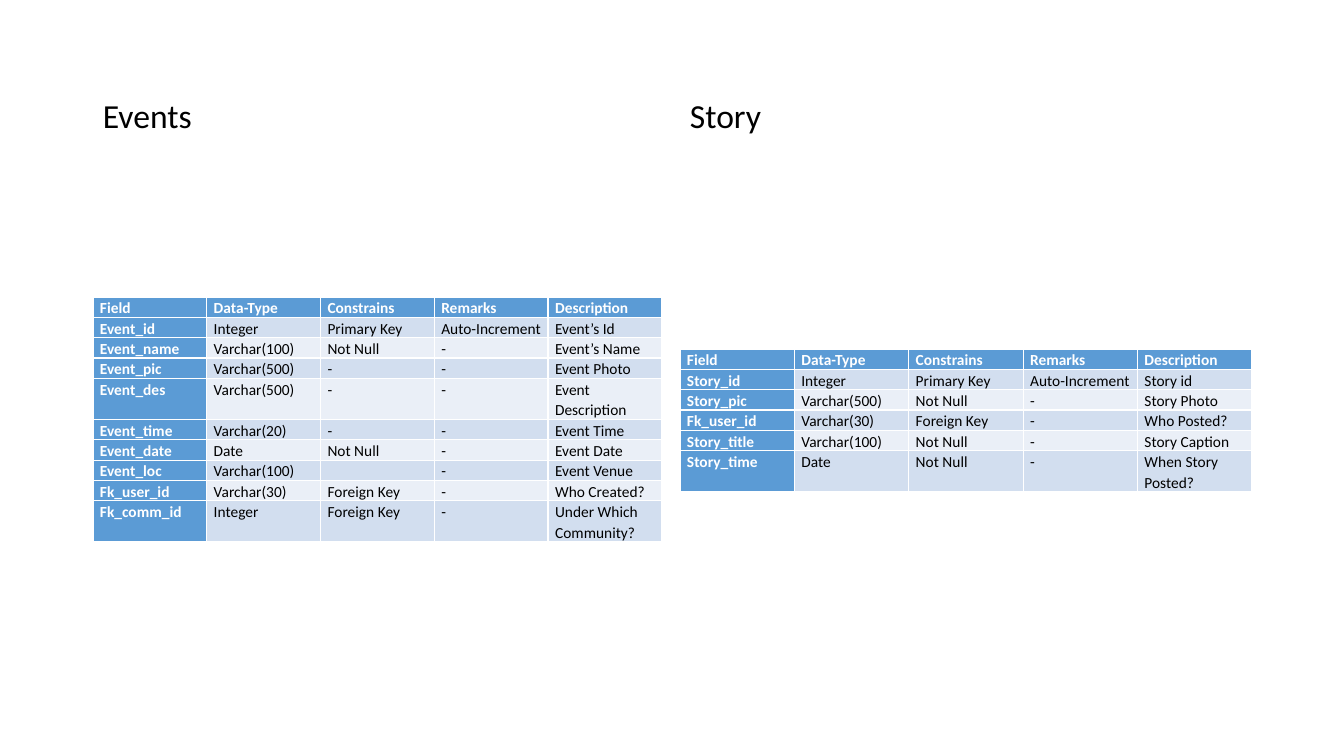
from pptx import Presentation
from pptx.dml.color import RGBColor
from pptx.enum.text import MSO_ANCHOR
from pptx.util import Pt

SLIDE_WIDTH, SLIDE_HEIGHT = 1344, 756
EMU_PER_PX = 12192000 / SLIDE_WIDTH
FONT = "Calibri"
BLACK = RGBColor(0x00, 0x00, 0x00)
WHITE = RGBColor(0xFF, 0xFF, 0xFF)
BLUE = RGBColor(0x5B, 0x9B, 0xD5)
BANDS = (RGBColor(0xEA, 0xEF, 0xF7), RGBColor(0xD2, 0xDE, 0xEF))

HEADING_TOP, HEADING_HEIGHT = 43, 98
LINE_HEIGHT, TWO_LINES_HEIGHT = 20, 41
LONGEST_ONE_LINE = 14
CELL_MARGIN = 7

HEADER = ("Field", "Data-Type", "Constrains", "Remarks", "Description")
EVENT_FIELDS = (
    ("Event_id", "Integer", "Primary Key", "Auto-Increment", "Event’s Id"),
    ("Event_name", "Varchar(100)", "Not Null", "-", "Event’s Name"),
    ("Event_pic", "Varchar(500)", "-", "-", "Event Photo"),
    ("Event_des", "Varchar(500)", "-", "-", "Event Description"),
    ("Event_time", "Varchar(20)", "-", "-", "Event Time"),
    ("Event_date", "Date", "Not Null", "-", "Event Date"),
    ("Event_loc", "Varchar(100)", "", "-", "Event Venue"),
    ("Fk_user_id", "Varchar(30)", "Foreign Key", "-", "Who Created?"),
    ("Fk_comm_id", "Integer", "Foreign Key", "-", "Under Which Community?"),
)
STORY_FIELDS = (
    ("Story_id", "Integer", "Primary Key", "Auto-Increment", "Story id"),
    ("Story_pic", "Varchar(500)", "Not Null", "-", "Story Photo"),
    ("Fk_user_id", "Varchar(30)", "Foreign Key", "-", "Who Posted?"),
    ("Story_title", "Varchar(100)", "Not Null", "-", "Story Caption"),
    ("Story_time", "Date", "Not Null", "-", "When Story Posted?"),
)


def px(length):
    return round(length * EMU_PER_PX)


def format_runs(paragraph, size, color, bold=False):
    for run in paragraph.runs:
        run.font.name = FONT
        run.font.size = Pt(size)
        run.font.bold = bold
        run.font.color.rgb = color


def add_heading(slide, text, left, width):
    box = slide.shapes.add_textbox(px(left), px(HEADING_TOP), px(width), px(HEADING_HEIGHT))
    box.text_frame.word_wrap = True
    box.text_frame.vertical_anchor = MSO_ANCHOR.BOTTOM
    paragraph = box.text_frame.paragraphs[0]
    paragraph.text = text
    paragraph.line_spacing = 0.9
    paragraph.space_before = Pt(10)
    format_runs(paragraph, 24, BLACK)


def fill_cell(cell, text, background, color, bold):
    cell.fill.solid()
    cell.fill.fore_color.rgb = background
    cell.margin_left = cell.margin_right = px(CELL_MARGIN)
    cell.margin_top = cell.margin_bottom = 0
    paragraph = cell.text_frame.paragraphs[0]
    paragraph.line_spacing = 1.1
    if text:
        paragraph.text = text
        format_runs(paragraph, 11, color, bold)
    else:
        # An empty cell would otherwise stretch its row to the default text size.
        paragraph._p.get_or_add_endParaRPr().set("sz", "1100")


def add_field_table(slide, fields, left, top, width):
    rows = (HEADER, *fields)
    heights = [TWO_LINES_HEIGHT if len(row[-1]) > LONGEST_ONE_LINE else LINE_HEIGHT
               for row in rows]
    frame = slide.shapes.add_table(len(rows), len(HEADER), px(left), px(top),
                                   px(width), px(sum(heights)))
    table = frame.table
    table.first_col = True
    for column in table.columns:
        column.width = px(width / len(HEADER))
    for row_index, (row, height) in enumerate(zip(rows, heights)):
        table.rows[row_index].height = px(height)
        for column_index, text in enumerate(row):
            is_label = row_index == 0 or column_index == 0
            fill_cell(table.cell(row_index, column_index), text,
                      BLUE if is_label else BANDS[row_index % 2],
                      WHITE if is_label else BLACK, is_label)


def main():
    presentation = Presentation()
    presentation.slide_width = px(SLIDE_WIDTH)
    presentation.slide_height = px(SLIDE_HEIGHT)
    slide = presentation.slides.add_slide(presentation.slide_layouts[6])
    for heading, fields, left, top, width in (
        ("Events", EVENT_FIELDS, 93, 297, 569),
        ("Story", STORY_FIELDS, 680, 349, 572),
    ):
        add_heading(slide, heading, left, width)
        add_field_table(slide, fields, left, top, width)
    presentation.save("out.pptx")


if __name__ == "__main__":
    main()
